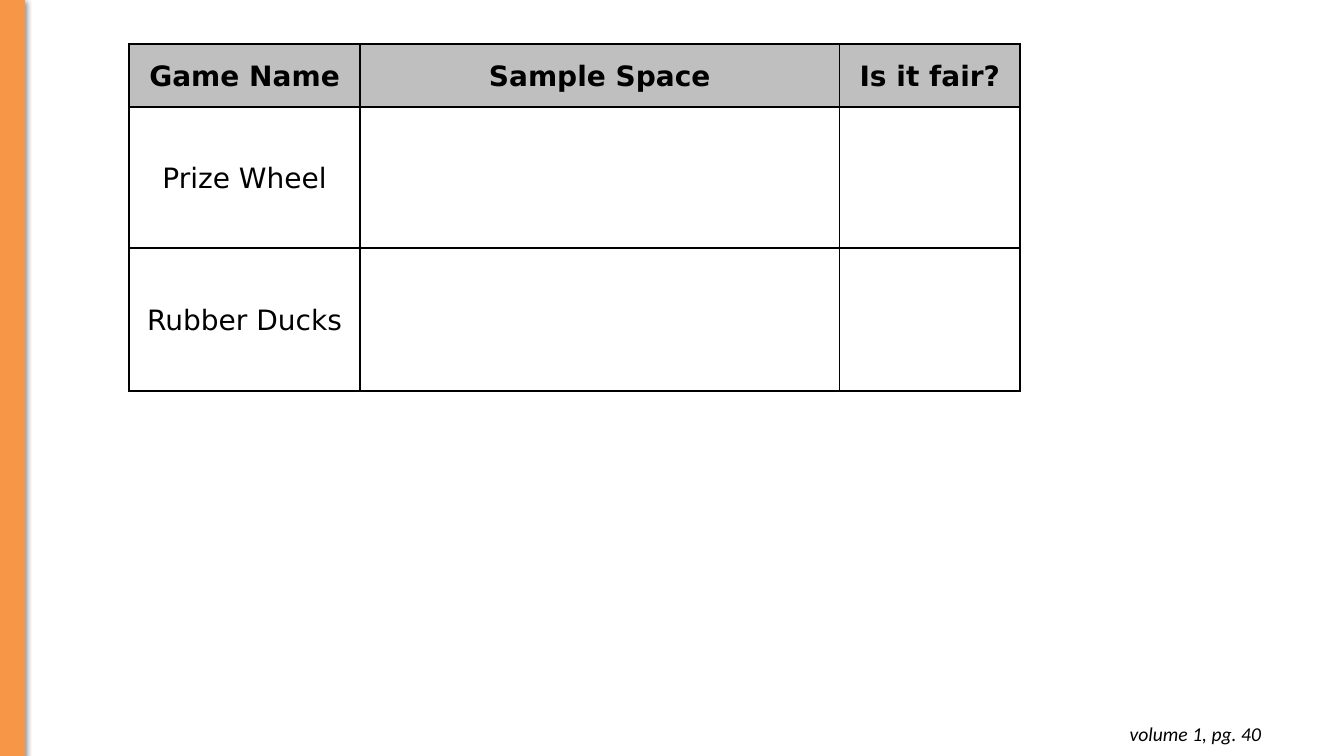
from lxml.etree import SubElement
from pptx import Presentation
from pptx.dml.color import RGBColor
from pptx.enum.shapes import MSO_SHAPE
from pptx.enum.text import MSO_ANCHOR, MSO_AUTO_SIZE, PP_ALIGN
from pptx.oxml import parse_xml
from pptx.oxml.ns import nsdecls, qn
from pptx.util import Pt


def color(code):
    return RGBColor.from_string(code)


def write(frame, text, size=20, font="DejaVu Sans", align=PP_ALIGN.CENTER,
          bold=False, italic=False, line=None, after=None):
    par = frame.paragraphs[0]
    par.alignment = align
    par.line_spacing = line
    par.space_after = after
    run = par.add_run()
    run.text = text
    run.font.size = Pt(size)
    run.font.name = font
    run.font.bold = bold
    run.font.italic = italic
    run.font.color.rgb = color("000000")


deck = Presentation()
deck.slide_width, deck.slide_height = Pt(960), Pt(540)
slide = deck.slides.add_slide(deck.slide_layouts[6])

# Orange side bar with a soft shadow
bar = slide.shapes.add_shape(MSO_SHAPE.RECTANGLE, 0, 0, Pt(17.5), Pt(540.5))
bar.fill.solid()
bar.fill.fore_color.rgb = color("F79647")
bar.line.color.rgb = color("F79647")
bar.line.width = Pt(0.75)
bar._element.spPr.append(parse_xml(
    f'<a:effectLst {nsdecls("a")}>'
    f'<a:outerShdw blurRad="{Pt(4.5)}" dist="{Pt(1.5)}" dir="5400000">'
    '<a:srgbClr val="000000"><a:alpha val="50000"/></a:srgbClr>'
    '</a:outerShdw></a:effectLst>'))

# Table of games
rows = [
    ("Game Name", "Sample Space", "Is it fair?"),
    ("Prize Wheel", "", ""),
    ("Rubber Ducks", "", ""),
]
widths = [165, 342.5, 129]
heights = [44.75, 101, 102]
grid = slide.shapes.add_table(3, 3, Pt(92.25), Pt(31.5),
                              Pt(sum(widths)), Pt(sum(heights))).table
grid.first_row = grid.horz_banding = False
for col, width in zip(grid.columns, widths):
    col.width = Pt(width)
for row, height in zip(grid.rows, heights):
    row.height = Pt(height)

for r, texts in enumerate(rows):
    head = r == 0
    for c, text in enumerate(texts):
        cell = grid.cell(r, c)
        cell.vertical_anchor = MSO_ANCHOR.MIDDLE
        cell.margin_left = cell.margin_right = Pt(5)
        cell.margin_top = cell.margin_bottom = Pt(7.2 if head else 0)
        if text:
            write(cell.text_frame, text, bold=head, line=1.07, after=Pt(8))

        # Black border on each side, then the fill
        props = cell._tc.get_or_add_tcPr()
        for side in ("lnL", "lnR", "lnT", "lnB"):
            edge = SubElement(props, qn(f"a:{side}"), w=str(Pt(1.5)))
            ink = SubElement(edge, qn("a:solidFill"))
            SubElement(ink, qn("a:srgbClr"), val="000000")
        if head:
            cell.fill.solid()
            cell.fill.fore_color.rgb = color("BFBFBF")
        else:
            cell.fill.background()

# Page reference
note = slide.shapes.add_textbox(Pt(700.5), Pt(508.5), Pt(207.5), Pt(31.5))
frame = note.text_frame
frame.word_wrap = True
frame.auto_size = MSO_AUTO_SIZE.SHAPE_TO_FIT_TEXT
frame.margin_left = frame.margin_right = Pt(7.2)
frame.margin_top = frame.margin_bottom = Pt(7.2)
write(frame, "volume 1, pg. 40", size=14, font="Calibri",
      align=PP_ALIGN.RIGHT, italic=True)

deck.save("out.pptx")
